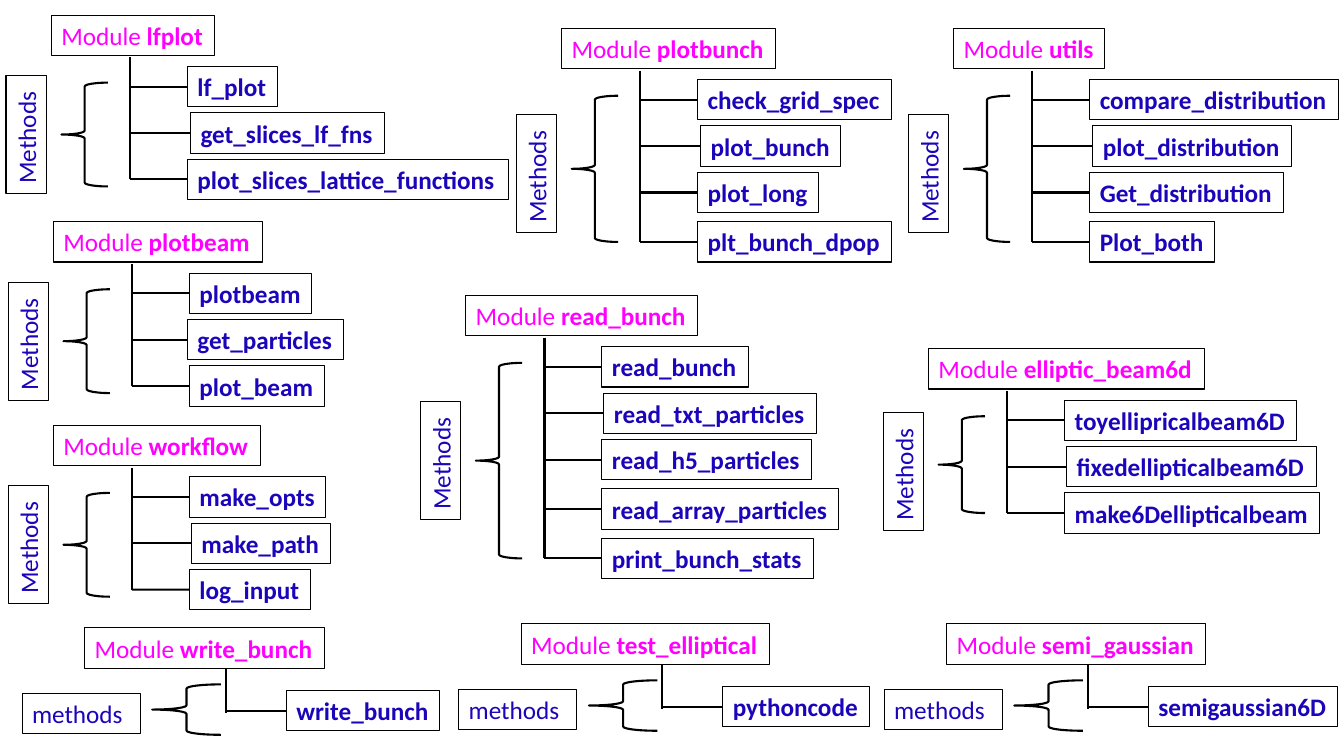
from lxml.etree import SubElement
from pptx import Presentation
from pptx.dml.color import RGBColor
from pptx.enum.shapes import MSO_CONNECTOR, MSO_SHAPE
from pptx.enum.text import MSO_AUTO_SIZE
from pptx.oxml.ns import qn
from pptx.util import Inches, Pt

COLORS = {"line": "000000", "title": "FF00FF", "method": "1B05BB"}
BOX_H = 0.4
LABEL_W = 1.17
ROW_TOPS = [0.51, 0.97, 1.43, 1.92, 2.41]

# left, top, title width, name, brace height, label drop, second row left, methods
TALL = [
    (0.51, 0.15, 1.62, "lfplot", 1.03, 0, 1.38,
     [("lf_plot", 0.89), ("get_slices_lf_fns", 1.92),
      ("plot_slices_lattice_functions", 3.18)]),
    (0.53, 2.2, 2.07, "plotbeam", 1.03, 0, 1.33,
     [("plotbeam", 1.21), ("get_particles", 1.55), ("plot_beam", 1.34)]),
    (0.53, 4.22, 2.05, "workflow", 1.03, 0, 1.37,
     [("make_opts", 1.35), ("make_path", 1.38), ("log_input", 1.2)]),
    (5.57, 0.28, 2.12, "plotbunch", 1.45, 0.05, 1.38,
     [("check_grid_spec", 1.92), ("plot_bunch", 1.39),
      ("plot_long", 1.2), ("plt_bunch_dpop", 1.92)]),
    (9.46, 0.28, 1.5, "utils", 1.45, 0.05, 1.38,
     [("compare_distribution", 2.47), ("plot_distribution", 1.97),
      ("Get_distribution", 1.92), ("Plot_both", 1.24)]),
    (4.62, 2.93, 2.3, "read_bunch", 1.94, 0, 1.37,
     [("read_bunch", 1.45), ("read_txt_particles", 2.11),
      ("read_h5_particles", 2.08), ("read_array_particles", 2.35),
      ("print_bunch_stats", 2.1)]),
    (9.21, 3.46, 2.74, "elliptic_beam6d", 0.96, 0.07, 1.37,
     [("toyellipricalbeam6D", 2.3), ("fixedellipticalbeam6D", 2.48),
      ("make6Dellipticalbeam", 2.53)]),
]

# left, top, title width, name, method, method width
SHORT = [
    (0.84, 6.23, 2.38, "write_bunch", "write_bunch", 1.52),
    (5.17, 6.19, 2.46, "test_elliptical", "pythoncode", 1.45),
    (9.39, 6.19, 2.57, "semi_gaussian", "semigaussian6D", 1.88),
]


def rgb(name):
    return RGBColor.from_string(COLORS[name])


def add_box(slide, x, y, w, plain="", bold="", color="method", wrap=False):
    """Outlined text box holding a plain run, then a bold run."""
    box = slide.shapes.add_textbox(Inches(x), Inches(y), Inches(w), Inches(BOX_H))
    box.line.color.rgb = rgb("line")
    box.line.width = Pt(0.75)
    frame = box.text_frame
    frame.word_wrap = wrap
    frame.auto_size = MSO_AUTO_SIZE.SHAPE_TO_FIT_TEXT
    para = frame.paragraphs[0]
    para.font.name = "Calibri"
    para.font.size = Pt(18)
    para.font.color.rgb = rgb(color)
    for text, heavy in ((plain, False), (bold, True)):
        if text:
            run = para.add_run()
            run.text = text
            run.font.bold = heavy
    return box


def add_title(slide, x, y, w, name):
    add_box(slide, x, y, w, "Module ", name, "title")


def add_line(slide, x1, y1, x2, y2):
    line = slide.shapes.add_connector(
        MSO_CONNECTOR.STRAIGHT, Inches(x1), Inches(y1), Inches(x2), Inches(y2))
    line.line.color.rgb = rgb("line")
    line.line.width = Pt(1.5)
    SubElement(line._element.spPr, qn("a:effectLst"))
    return line


def add_brace(slide, x, y, w, h):
    brace = slide.shapes.add_shape(
        MSO_SHAPE.LEFT_BRACE, Inches(x), Inches(y), Inches(w), Inches(h))
    brace.fill.background()
    brace.line.color.rgb = rgb("line")
    brace.line.width = Pt(1.5)
    brace.shadow.inherit = False


def add_method(slide, trunk, x, y, w, name):
    """Method box with a branch from the trunk to its left side."""
    box = add_box(slide, x, y, w, bold=name)
    mid = y + BOX_H / 2
    add_line(slide, trunk, mid, x, mid).end_connect(box, 1)


def add_tall(slide, x, y, w, name, brace_h, drop, second, methods):
    """Module with several methods and an upright label."""
    add_title(slide, x, y, w, name)
    trunk = x + 0.78
    for i, (method, width) in enumerate(methods):
        left = second if i == 1 else 1.35
        add_method(slide, trunk, x + left, y + ROW_TOPS[i], width, method)
    end = y + ROW_TOPS[len(methods) - 1] + BOX_H / 2
    add_line(slide, trunk, y + 0.42, trunk, end)
    add_brace(slide, x + 0.1, y + 0.67, 0.46, brace_h)
    mid = y + 0.67 + brace_h / 2 + drop
    label = add_box(slide, x - 0.25 - LABEL_W / 2, mid - BOX_H / 2, LABEL_W,
                    "Methods", wrap=True)
    label.rotation = 270


def add_short(slide, x, y, w, name, method, width):
    """Module with one method and a level label."""
    add_title(slide, x, y, w, name)
    trunk = x + 1.4
    add_method(slide, trunk, x + 2, y + 0.62, width, method)
    add_line(slide, trunk, y + BOX_H, trunk, y + 0.84)
    add_brace(slide, x + 0.67, y + 0.56, 0.68, 0.5)
    add_box(slide, x - 0.62, y + 0.65, LABEL_W, "methods", wrap=True)


def main():
    deck = Presentation()
    deck.slide_width = Inches(13.33)
    deck.slide_height = Inches(7.5)
    slide = deck.slides.add_slide(deck.slide_layouts[6])
    for module in TALL:
        add_tall(slide, *module)
    for module in SHORT:
        add_short(slide, *module)
    deck.save("out.pptx")


if __name__ == "__main__":
    main()
